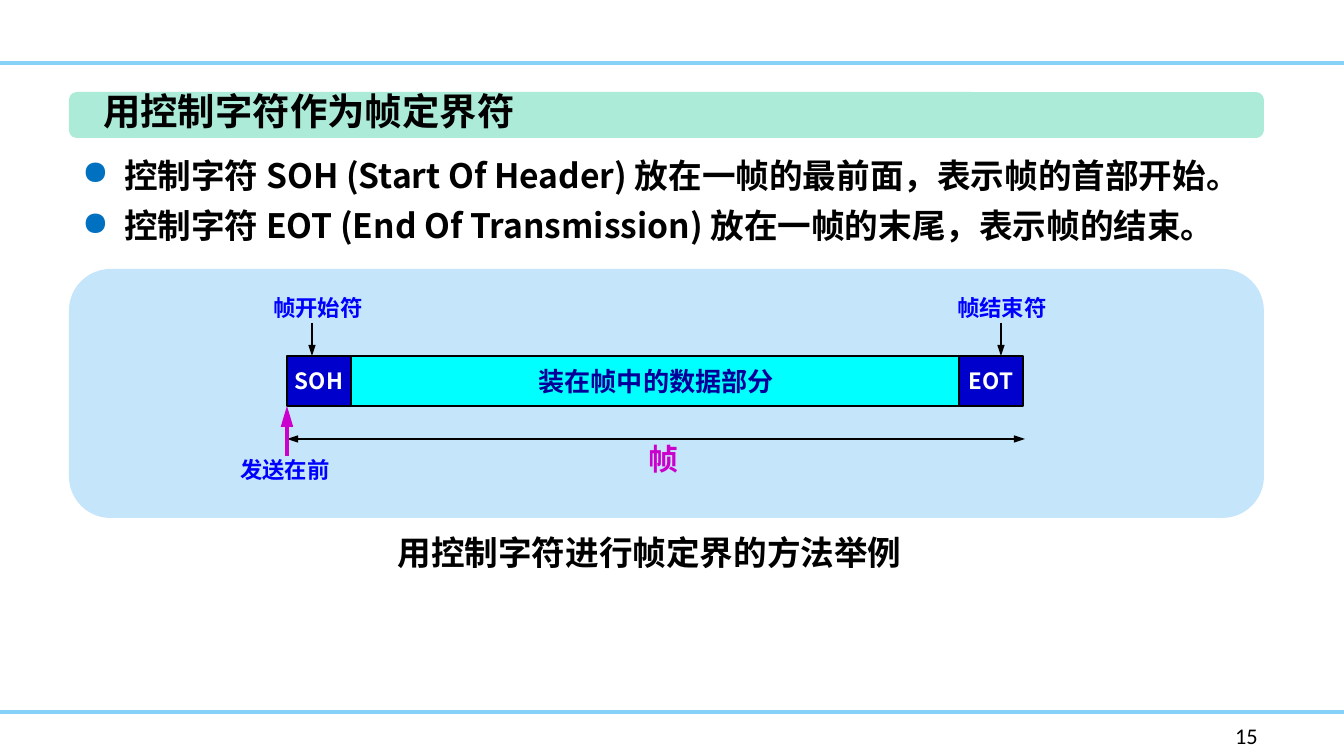
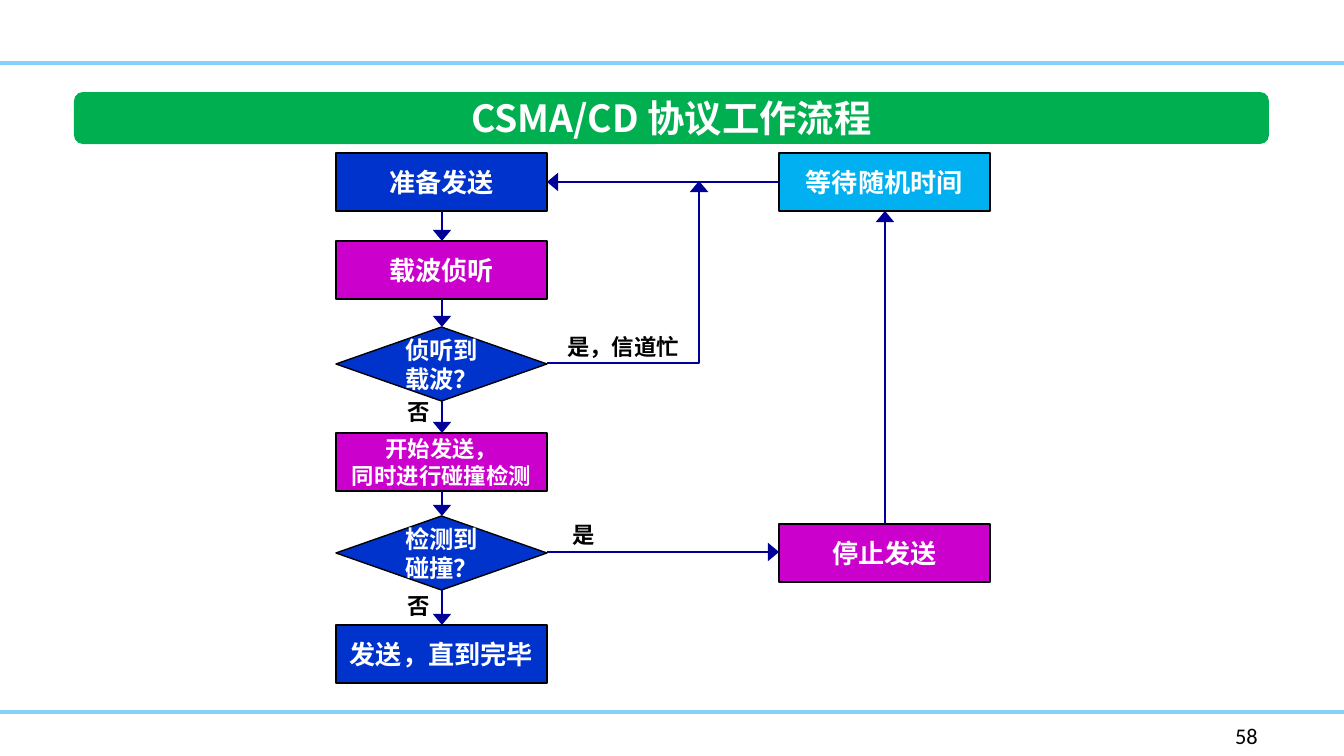
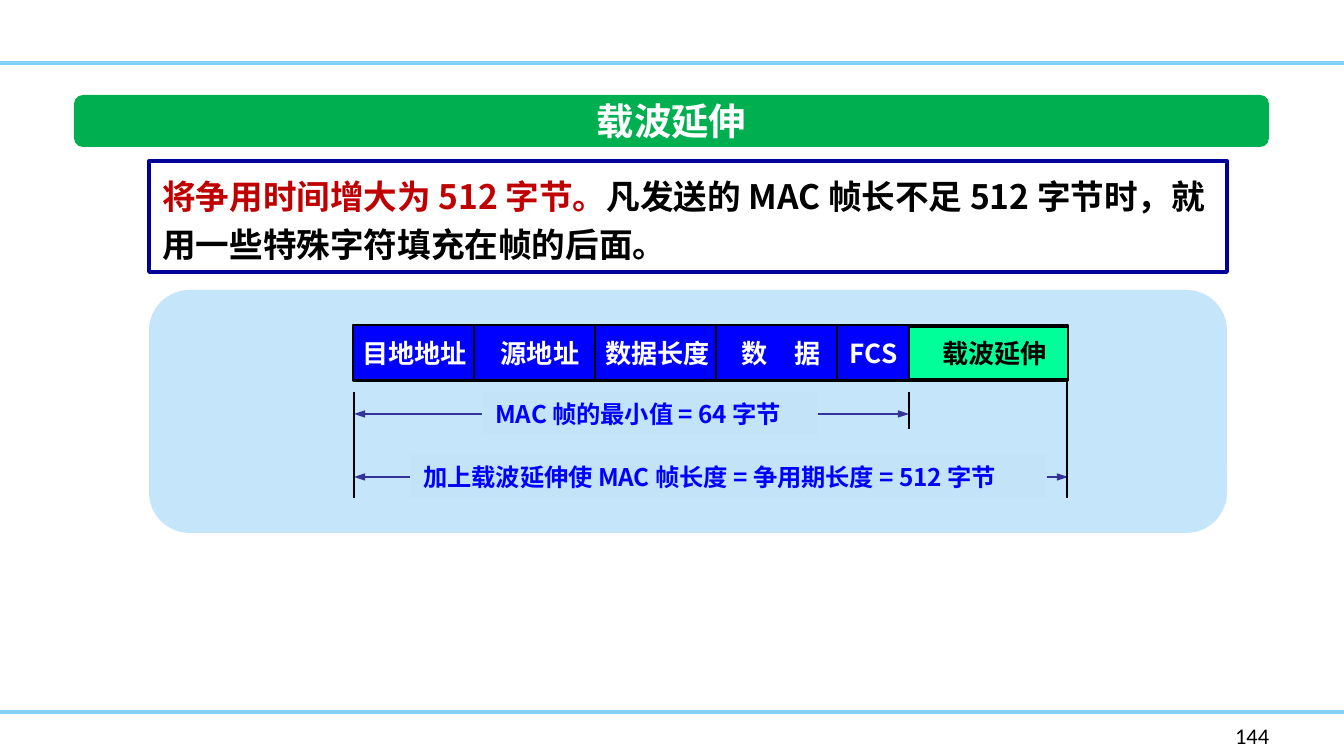
import pptx
import pptx.util
import pptx.dml.color
import pptx.enum.shapes
import pptx.enum.text
import pptx.oxml.ns
import lxml.etree

PX = 914400 / 134.4
FONT = "Noto Sans CJK SC"
HUE = {
    "rule": "85D1F7", "panel": "C5E5FB", "label": "C3E3F9", "mint": "ABEBD7",
    "green": "00B050", "black": "000000", "white": "FFFFFF", "dot": "0070C0",
    "cyan": "00FFFF", "navy": "000099", "pink": "CC00CC", "blue": "0000FF",
    "deep": "0000CC", "royal": "0033CC", "sky": "00B0F0", "slate": "333399",
    "lime": "00FF99", "red": "C00000",
}
RGB = pptx.dml.color.RGBColor.from_string
KIND = pptx.enum.shapes.MSO_SHAPE
LINK = pptx.enum.shapes.MSO_CONNECTOR
ALIGN = pptx.enum.text.PP_ALIGN
PIN = pptx.enum.text.MSO_ANCHOR
FIT = pptx.enum.text.MSO_AUTO_SIZE
qn = pptx.oxml.ns.qn


def write(page, text, box, kind=None, fill=None, edge=None, width=1, round=None,
          size=14, hue="black", font=FONT, bold=True, align=ALIGN.CENTER,
          pin=None, wrap=False, space=None, dot=False, lead=""):
    place = [int(n * PX) for n in box]
    if kind is None:
        shape = page.shapes.add_textbox(*place)
    else:
        shape = page.shapes.add_shape(kind, *place)
        shape.shadow.inherit = False
        shape.fill.solid()
        shape.fill.fore_color.rgb = RGB(HUE[fill])
        if edge:
            shape.line.color.rgb = RGB(HUE[edge])
            shape.line.width = pptx.util.Pt(width)
        else:
            shape.line.fill.background()
        if round:
            shape.adjustments[0] = round
    if not text:
        return
    frame = shape.text_frame
    frame.word_wrap = wrap
    frame.auto_size = FIT.NONE if kind else FIT.SHAPE_TO_FIT_TEXT
    frame.vertical_anchor = pin or (PIN.MIDDLE if kind else PIN.TOP)
    for i, words in enumerate(text.split("\n")):
        para = frame.add_paragraph() if i else frame.paragraphs[0]
        para.alignment = align
        if space:
            para.line_spacing = pptx.util.Pt(space)
        if dot:
            props = para._p.get_or_add_pPr()
            props.set("marL", str(int(42 * PX)))
            props.set("indent", str(int(-42 * PX)))
            tint = lxml.etree.SubElement(props, qn("a:buClr"))
            lxml.etree.SubElement(tint, qn("a:srgbClr"), val=HUE["dot"])
            lxml.etree.SubElement(props, qn("a:buChar"), char="●")
        for part, shade in ((lead, "red"), (words, hue)):
            if part:
                run = para.add_run()
                run.text = part
                run.font.size = pptx.util.Pt(size)
                run.font.bold = bold
                run.font.color.rgb = RGB(HUE[shade])
                run.font.name = font
                lxml.etree.SubElement(run._r.get_or_add_rPr(), qn("a:ea"), typeface=font)


def link(page, ends, hue="black", width=1, head=False, tail=False,
         wide="sm", long="med", bent=False):
    line = page.shapes.add_connector(LINK.ELBOW if bent else LINK.STRAIGHT,
                                     *[int(n * PX) for n in ends])
    line.line.color.rgb = RGB(HUE[hue])
    line.line.width = pptx.util.Pt(width)
    props = line._element.spPr
    if bent:
        props.find(qn("a:prstGeom")).set("prst", "bentConnector2")
    for tag, shown in (("a:headEnd", head), ("a:tailEnd", tail)):
        if shown:
            lxml.etree.SubElement(props.find(qn("a:ln")), qn(tag),
                                  type="triangle", w=wide, len=long)
    lxml.etree.SubElement(props, qn("a:effectLst"))


deck = pptx.Presentation()
deck.slide_width = int(1344 * PX)
deck.slide_height = int(756 * PX)
pages = []
for num in ("15", "58", "144"):
    page = deck.slides.add_slide(deck.slide_layouts[6])
    for y in (63, 712):
        link(page, (0, y, 1344, y), "rule", 2)
    write(page, num, (1222, 716, 87, 40), size=12, font="Calibri", bold=False,
          align=ALIGN.LEFT, wrap=True)
    pages.append(page)
frame, flow, carrier = pages

write(frame, "", (69, 269, 1195, 249), KIND.ROUNDED_RECTANGLE, "panel")
write(frame, "", (69, 92, 1195, 46), KIND.ROUNDED_RECTANGLE, "mint", round=0.17)
write(frame, "用控制字符作为帧定界符", (90, 82, 442, 59), size=20, align=ALIGN.LEFT)
write(frame, "控制字符 SOH (Start Of Header) 放在一帧的最前面，表示帧的首部开始。\n"
      "控制字符 EOT (End Of Transmission) 放在一帧的末尾，表示帧的结束。",
      (69, 138, 1195, 110), size=18, align=ALIGN.LEFT, wrap=True, space=27, dot=True)
for text, x, wide, fill, hue, size in (
        ("装在帧中的数据部分", 336, 641, "cyan", "navy", 14),
        ("SOH", 287, 64, "deep", "white", 12),
        ("EOT", 959, 64, "deep", "white", 12)):
    write(frame, text, (x, 356, wide, 50), KIND.RECTANGLE, fill, "black",
          size=size, hue=hue)
for text, x, y in (("帧开始符", 259, 288), ("帧结束符", 943, 288), ("发送在前", 226, 450)):
    write(frame, text, (x, y, 118, 40), size=12, hue="blue")
for x in (312, 1001):
    link(frame, (x, 323, x, 356), tail=True)
link(frame, (287, 439, 1025, 439), head=True, tail=True)
link(frame, (287, 456, 287, 406), "pink", 2.25, tail=True, wide="med", long="lg")
write(frame, "帧", (634, 434, 58, 50), size=16, hue="pink")
write(frame, "用控制字符进行帧定界的方法举例", (384, 525, 531, 54), size=18, wrap=True)

for page, title, y in ((flow, "CSMA/CD 协议工作流程", 92), (carrier, "载波延伸", 95)):
    write(page, "", (74, y, 1195, 52), KIND.ROUNDED_RECTANGLE, "green", round=0.17)
    write(page, title, (445, y - 3, 453, 59), size=20, hue="white")

steps = [
    ("准备发送", 153, 58, KIND.RECTANGLE, "royal", 14),
    ("载波侦听", 241, 58, KIND.RECTANGLE, "pink", 14),
    ("侦听到载波？", 327, 74, KIND.DIAMOND, "royal", 13),
    ("开始发送，\n同时进行碰撞检测", 433, 58, KIND.RECTANGLE, "pink", 12),
    ("检测到碰撞？", 516, 74, KIND.DIAMOND, "royal", 13),
    ("发送，直到完毕", 625, 58, KIND.RECTANGLE, "royal", 14),
]
sides = [
    ("停止发送", 524, 58, KIND.RECTANGLE, "pink", 14),
    ("等待随机时间", 153, 58, KIND.RECTANGLE, "sky", 14),
]
for x, group in ((336, steps), (779, sides)):
    for text, y, tall, kind, fill, size in group:
        write(flow, text, (x, y, 211, tall), kind, fill, "black", 0.75,
              size=size, hue="white", wrap=True)
paths = [(442, a[1] + a[2], 442, b[1]) for a, b in zip(steps, steps[1:])]
paths += [(547, 552, 779, 552), (885, 524, 885, 211), (779, 182, 547, 182)]
for ends in paths:
    link(flow, ends, "navy", 1.5, tail=True, wide="lg")
link(flow, (547, 363, 699, 181), "navy", 1.5, tail=True, wide="lg", bent=True)
for text, x, y, wide in (("是，信道忙", 554, 327, 140), ("是", 559, 515, 50),
                         ("否", 394, 586, 50), ("否", 394, 392, 50)):
    write(flow, text, (x, y, wide, 40), size=12, align=ALIGN.LEFT)

write(carrier, "", (149, 290, 1078, 243), KIND.ROUNDED_RECTANGLE, "panel")
write(carrier, "凡发送的 MAC 帧长不足 512 字节时，就用一些特殊字符填充在帧的后面。",
      (149, 161, 1078, 111), KIND.RECTANGLE, "white", "navy", 2, size=18,
      align=ALIGN.LEFT, pin=PIN.TOP, wrap=True, space=26, lead="将争用时间增大为 512 字节。")
write(carrier, "", (353, 325, 715, 56), KIND.RECTANGLE, "blue", "black", 1.5)
for x in (*range(474, 838, 121), 909):
    link(carrier, (x, 325, x, 381))
write(carrier, "", (909, 327, 159, 52), KIND.RECTANGLE, "lime", "black", 0.75)
for text, x, wide, hue in (
        ("目地地址", 348, 133, "white"), ("源地址", 487, 106, "white"),
        ("数据长度", 591, 133, "white"), ("数　据", 726, 110, "white"),
        ("FCS", 836, 75, "white"), ("载波延伸", 928, 133, "black")):
    write(carrier, text, (x, 331, wide, 44), hue=hue)
for text, y, end, x, wide in (
        ("MAC 帧的最小值 = 64 字节", 414, 909, 482, 336),
        ("加上载波延伸使 MAC 帧长度 = 争用期长度 = 512 字节", 477, 1068, 410, 637)):
    link(carrier, (354, y, end, y), "slate", 1.5, head=True, tail=True)
    write(carrier, text, (x, y - 22, wide, 43), KIND.RECTANGLE, "label",
          size=13, hue="blue", align=ALIGN.LEFT)
for x, top, base in ((354, 392, 498), (909, 392, 429), (1067, 379, 498)):
    link(carrier, (x, top, x, base), width=1.5)

deck.save("out.pptx")
